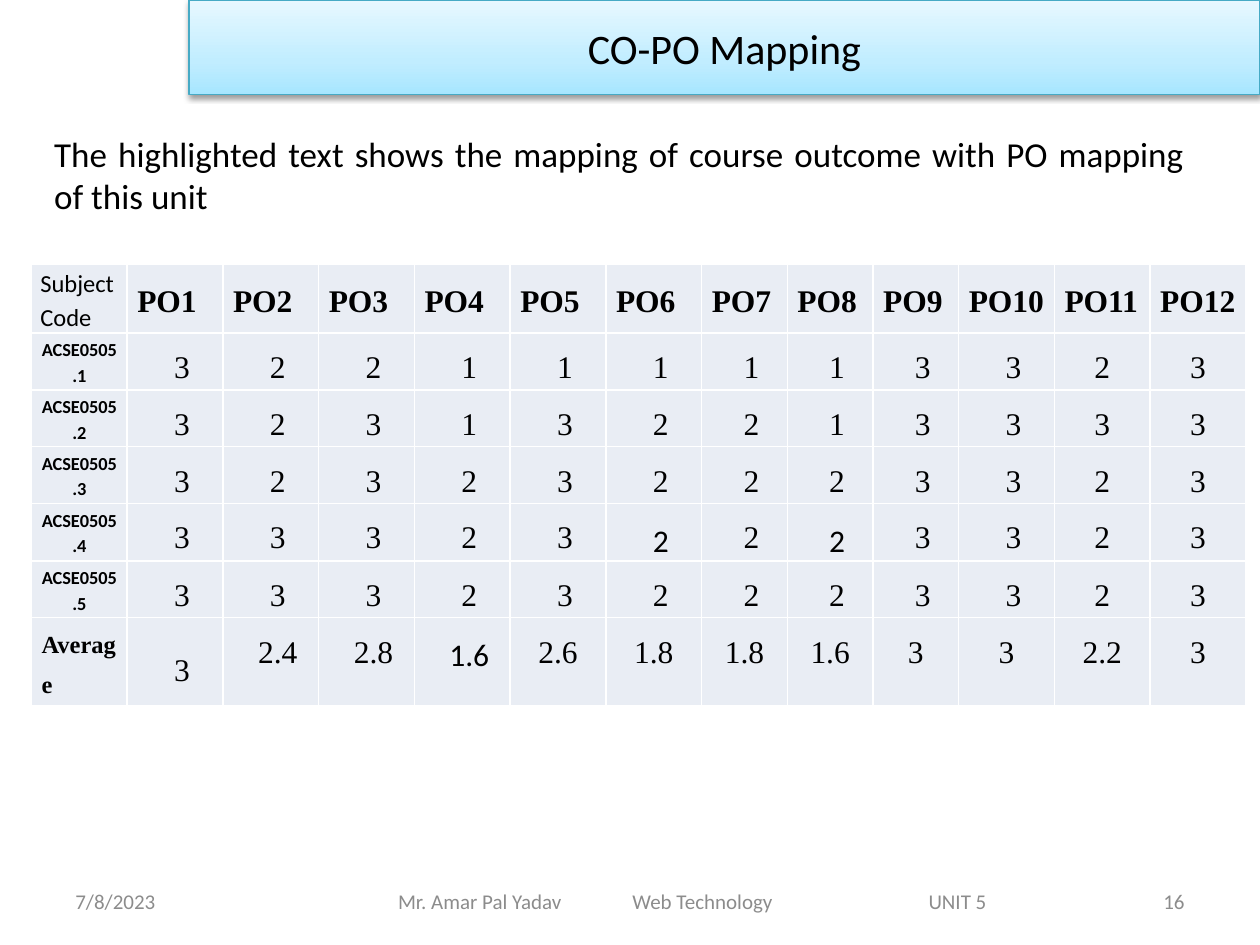
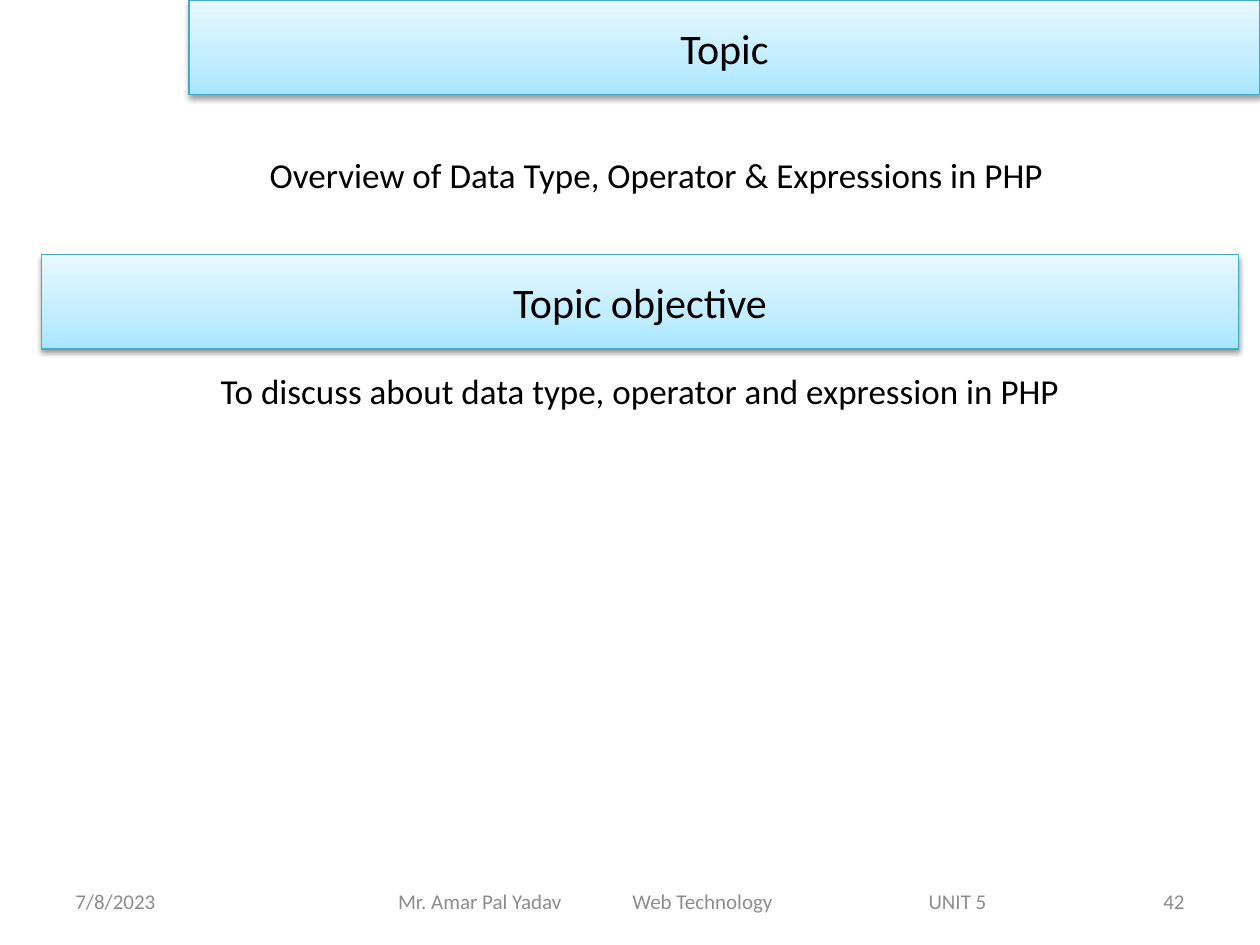
import pptx
import pptx.util
import pptx.dml.color
import pptx.enum.shapes
import pptx.enum.text
import pptx.oxml

Inches, Pt = pptx.util.Inches, pptx.util.Pt
ALIGN, ANCHOR = pptx.enum.text.PP_ALIGN, pptx.enum.text.MSO_ANCHOR

# ---- Content ----
FOOTER_DATE = "7/8/2023"
FOOTER_PARTS = ["Mr. Amar Pal Yadav", "Web Technology", "UNIT 5"]

MAPPING_TITLE = "CO-PO Mapping"
MAPPING_INTRO = ("The highlighted text shows the mapping of course outcome "
                 "with PO mapping of this unit")
HEADER = ["Subject Code"] + [f"PO{number}" for number in range(1, 13)]
OUTCOME_SCORES = [
    [3, 2, 2, 1, 1, 1, 1, 1, 3, 3, 2, 3],
    [3, 2, 3, 1, 3, 2, 2, 1, 3, 3, 3, 3],
    [3, 2, 3, 2, 3, 2, 2, 2, 3, 3, 2, 3],
    [3, 3, 3, 2, 3, 2, 2, 2, 3, 3, 2, 3],
    [3, 3, 3, 2, 3, 2, 2, 2, 3, 3, 2, 3],
]
AVERAGES = ["Average", 3, 2.4, 2.8, 1.6, 2.6, 1.8, 1.8, 1.6, 3, 3, 2.2, 3]
CALIBRI_SCORES = {(4, 6), (4, 8), (6, 4)}

TOPIC_TITLE = "Topic"
TOPIC_TEXT = "Overview of Data Type, Operator & Expressions in PHP"
OBJECTIVE_TITLE = "Topic objective"
OBJECTIVE_TEXT = "To discuss about data type, operator and expression in PHP"

# ---- Shared style ----
COLORS = {"text": "000000", "footer": "8C8C8C", "band_line": "46AAC5",
          "cell": "E9EDF4", "cell_border": "FFFFFF"}
BAND_STOPS = [(0, "A7E6FF"), (35, "C1EDFF"), (100, "E7F8FF")]
SANS, SERIF = "Calibri", "Times New Roman"
SLIDE_SIZE = (10, 7.5)
TITLE_AREA = (1.5, 0, 8.5, 0.75)
FOOTER_TOP, FOOTER_HEIGHT = 6.95, 0.4
FOOTER_TABS = [1.86, 4.21]
COLUMN_WIDTHS = [0.76] * 7 + [0.68] * 3 + [0.76] * 3
ROW_HEIGHTS = [0.53] + [0.45] * 5 + [0.7]
XMLNS = 'xmlns:a="http://schemas.openxmlformats.org/drawingml/2006/main"'


def rgb(name):
    return pptx.dml.color.RGBColor.from_string(COLORS[name])


def xml(text):
    return pptx.oxml.parse_xml(text.replace(">", f" {XMLNS}>", 1))


def add_span(para, text, size, color="text", font=SANS, bold=False):
    span = para.add_run()
    span.text = text
    span.font.size, span.font.name, span.font.bold = Pt(size), font, bold
    span.font.color.rgb = rgb(color)


def place(shape, area):
    shape.left, shape.top, shape.width, shape.height = map(Inches, area)


def write(shape, text, size, align, anchor=ANCHOR.TOP, color="text"):
    frame = shape.text_frame
    frame.word_wrap = True
    frame.auto_size = pptx.enum.text.MSO_AUTO_SIZE.NONE
    frame.vertical_anchor = anchor
    para = frame.paragraphs[0]
    para.alignment = align
    add_span(para, text, size, color)
    return para


def add_text(page, area, text, size, align, **style):
    box = page.shapes.add_textbox(*map(Inches, area))
    write(box, text, size, align, **style)
    return box


def style_band(shape, text):
    """Light blue gradient, thin line and a soft shadow below."""
    shape.line.color.rgb = rgb("band_line")
    shape.line.width = Pt(0.75)
    stops = "".join(f'<a:gs pos="{position * 1000}"><a:srgbClr val="{color}"/></a:gs>'
                    for position, color in BAND_STOPS)
    outline = shape.line._get_or_add_ln()
    outline.addprevious(xml(f'<a:gradFill rotWithShape="1"><a:gsLst>{stops}</a:gsLst>'
                            '<a:lin ang="16200000" scaled="0"/></a:gradFill>'))
    outline.addnext(xml('<a:effectLst><a:outerShdw blurRad="40000" dist="20000" '
                        'dir="5400000" rotWithShape="0"><a:srgbClr val="000000">'
                        '<a:alpha val="38000"/></a:srgbClr></a:outerShdw></a:effectLst>'))
    write(shape, text, 24, ALIGN.CENTER, ANCHOR.MIDDLE)


def add_footer(page, number):
    def part(left, width, text, align):
        return add_text(page, (left, FOOTER_TOP, width, FOOTER_HEIGHT), text, 12,
                        align, anchor=ANCHOR.MIDDLE, color="footer")

    part(0.5, 2.33, FOOTER_DATE, ALIGN.LEFT)
    middle = part(2.75, 5.5, "\t".join(FOOTER_PARTS), ALIGN.LEFT)
    middle.text_frame.margin_left = Inches(0.41)
    tabs = "".join(f'<a:tab pos="{Inches(stop)}" algn="l"/>' for stop in FOOTER_TABS)
    properties = middle.text_frame.paragraphs[0]._p.get_or_add_pPr()
    properties.append(xml(f"<a:tabLst>{tabs}</a:tabLst>"))
    part(7.17, 2.33, str(number), ALIGN.RIGHT)


def add_page(deck, title, number, body_area, body_text, body_align):
    page = deck.slides.add_slide(deck.slide_layouts[1])
    place(page.shapes.title, TITLE_AREA)
    style_band(page.shapes.title, title)
    body = page.placeholders[1]
    place(body, body_area)
    para = write(body, body_text, 20, body_align)
    para.space_before = Pt(0)
    properties = para._p.get_or_add_pPr()
    properties.set("marL", "0")
    properties.set("indent", "0")
    properties.append(xml("<a:buNone></a:buNone>"))
    add_footer(page, number)
    return page


# ---- Mapping table ----
def style_cell(cell, side_margin, anchor):
    cell.margin_left = cell.margin_right = Inches(side_margin)
    cell.margin_top = cell.margin_bottom = 0
    cell.vertical_anchor = anchor
    cell.fill.solid()
    cell.fill.fore_color.rgb = rgb("cell")
    for index, side in enumerate(["lnL", "lnR", "lnT", "lnB"]):
        cell._tc.tcPr.insert(index, xml(
            f'<a:{side} w="12700"><a:solidFill><a:srgbClr '
            f'val="{COLORS["cell_border"]}"/></a:solidFill></a:{side}>'))


def fill_cell(cell, row, column, value):
    last = len(ROW_HEIGHTS) - 1
    para = cell.text_frame.paragraphs[0]
    margin, anchor = 0.08, ANCHOR.TOP
    size, font, bold = 18, SERIF, False
    para.alignment, para.line_spacing = ALIGN.CENTER, 1.5
    if row == 0:
        para.alignment, para.line_spacing = ALIGN.JUSTIFY, 1.15
        if column == 0:
            margin, size, font = 0.07, 14, SANS
        else:
            anchor, bold = ANCHOR.MIDDLE, True
    elif column == 0 and row < last:
        margin, anchor = 0.07, ANCHOR.MIDDLE
        size, font, bold = 10.5, SANS, True
        para.line_spacing, para.space_after = 1.15, Pt(10)
    elif column == 0:
        para.alignment, size, bold = ALIGN.JUSTIFY, 14, True
    else:
        if (row, column) in CALIBRI_SCORES:
            font = SANS
        if (row, column) == (last, 1):
            anchor = ANCHOR.MIDDLE
        if column <= (4 if row == last else 10):
            para._p.get_or_add_pPr().set("marL", str(Inches(0.11)))
    style_cell(cell, margin, anchor)
    add_span(para, str(value), size, font=font, bold=bold)


def add_mapping_table(page):
    outcomes = [[f"ACSE0505.{number}"] + scores
                for number, scores in enumerate(OUTCOME_SCORES, 1)]
    rows = [HEADER] + outcomes + [AVERAGES]
    area = (0.25, 2.1, sum(COLUMN_WIDTHS), sum(ROW_HEIGHTS))
    table = page.shapes.add_table(len(rows), len(HEADER), *map(Inches, area)).table
    table.first_row = table.horz_banding = False
    for column, width in zip(table.columns, COLUMN_WIDTHS):
        column.width = Inches(width)
    for row, height in zip(table.rows, ROW_HEIGHTS):
        row.height = Inches(height)
    for row, values in enumerate(rows):
        for column, value in enumerate(values):
            fill_cell(table.cell(row, column), row, column, value)


def main():
    deck = pptx.Presentation()
    deck.slide_width, deck.slide_height = map(Inches, SLIDE_SIZE)

    # Mapping slide
    page = add_page(deck, MAPPING_TITLE, 16, (0.33, 1, 9.17, 0.77),
                    MAPPING_INTRO, ALIGN.JUSTIFY)
    add_mapping_table(page)

    # Topic slide
    page = add_page(deck, TOPIC_TITLE, 42, (0.58, 2.88, 9, 3.12),
                    OBJECTIVE_TEXT, ALIGN.CENTER)
    add_text(page, (1.75, 1.17, 6.92, 0.44), TOPIC_TEXT, 20, ALIGN.CENTER)
    band = page.shapes.add_shape(pptx.enum.shapes.MSO_SHAPE.RECTANGLE,
                                 *map(Inches, (0.33, 2.02, 9.5, 0.75)))
    style_band(band, OBJECTIVE_TITLE)

    deck.save("out.pptx")


if __name__ == "__main__":
    main()
